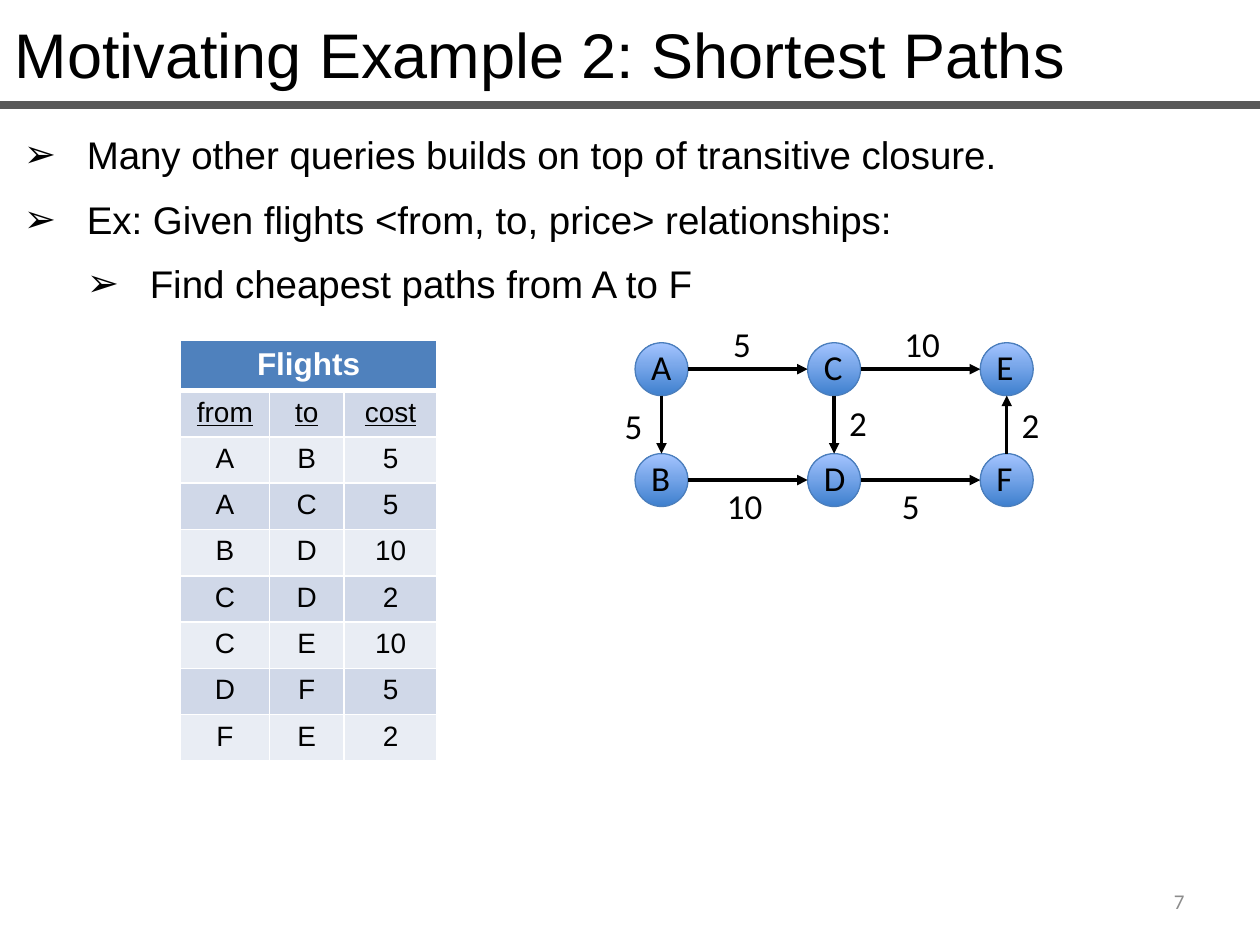
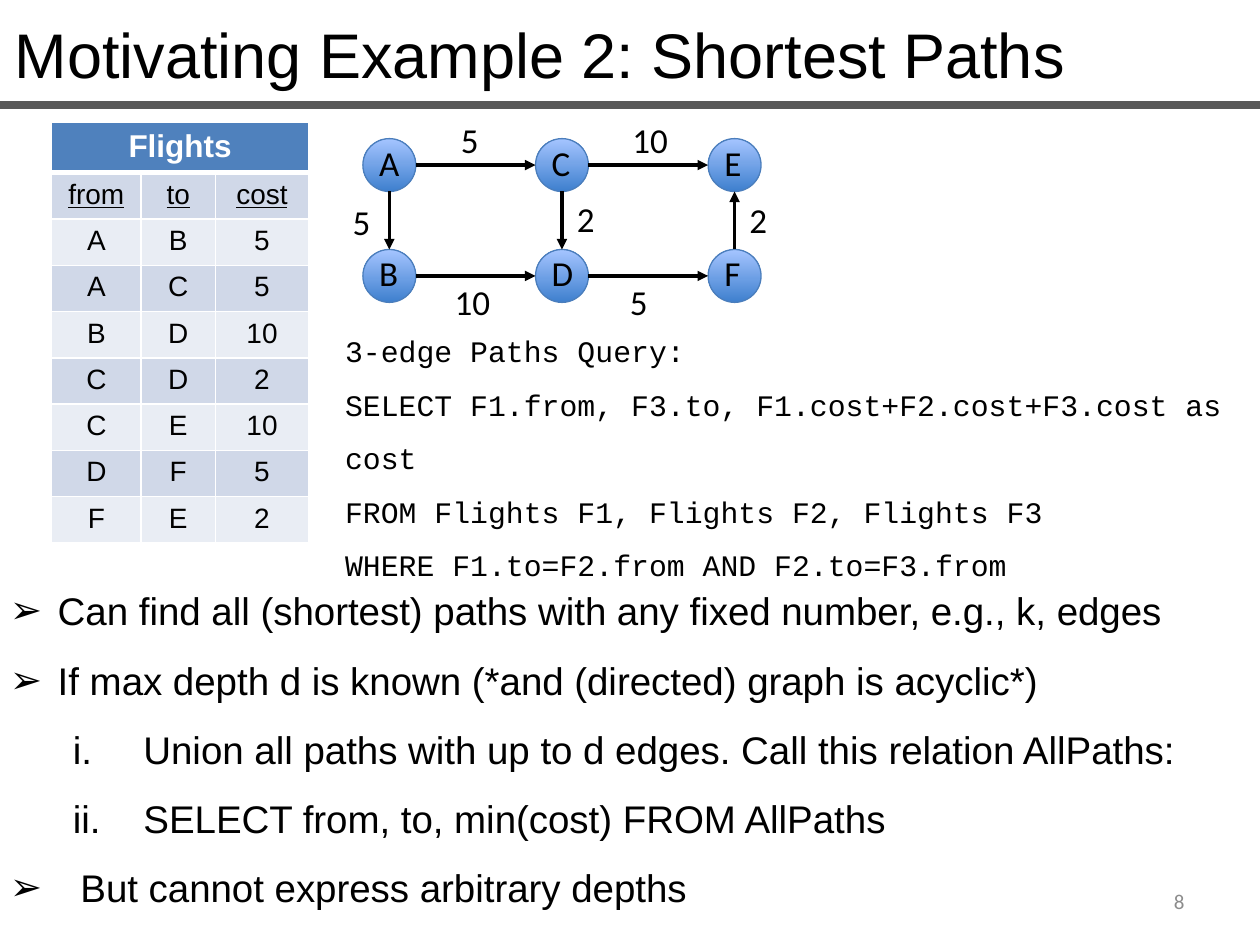
from dataclasses import dataclass

from lxml import etree
from pptx import Presentation
from pptx.dml.color import RGBColor
from pptx.enum import shapes as kinds, text as t
from pptx.oxml.ns import qn
from pptx.util import Inches, Pt


@dataclass(frozen=True)
class Theme:
    """Colours, and text styles as (font, size, colour)."""
    rule: str = "595959"
    ink: str = "000000"
    white: str = "FFFFFF"
    header: str = "4F81BD"
    bands: tuple = ("D0D8E8", "E9EDF4")
    node_fill: tuple = ("3F80CE", "A4C4FF")
    node_line: str = "4B7EBC"
    title: tuple = ("Arial", 36, "000000")
    body: tuple = ("Arial", 22, "000000")
    code: tuple = ("Courier New", 17, "000000")
    graph: tuple = ("Calibri", 20, "000000")
    number: tuple = ("Calibri", 12, "8C8C8C")
    table_head: tuple = ("Arial", 18, "FFFFFF")
    table_cell: tuple = ("Arial", 16, "000000")


THEME = Theme()
TITLE = "Motivating Example 2: Shortest Paths"

# Each flight is an edge; the last two values place its cost label from node A.
FLIGHTS = [
    ("A", "B", 5, -0.18, 0.44),
    ("A", "C", 5, 0.68, -0.21),
    ("B", "D", 10, 0.63, 1.08),
    ("C", "D", 2, 1.6, 0.42),
    ("C", "E", 10, 2.04, -0.21),
    ("D", "F", 5, 2.02, 1.08),
    ("F", "E", 2, 2.97, 0.43),
]
NODES = {"A": (0, 0), "B": (0, 1), "C": (1, 0), "D": (1, 1), "E": (2, 0), "F": (2, 1)}
NODE_SIZE, COLUMN_STEP, ROW_STEP = 0.42, 1.37, 0.88
COLUMNS = (0.71, 0.59, 0.74)
HEAD_HEIGHT, TABLE_HEIGHT = 0.39, 3.33

# Marker: level, left indent, hanging indent, bullet tag and its attribute
ARROW = ("a:buChar", "char", "➢")
ROMAN = ("a:buAutoNum", "type", "romanLcPeriod")
WIDE, WIDE_SUB = (0, 0.5, 0.5, ARROW), (1, 1, 0.5, ARROW)
TIGHT, STEP, LAST = (0, 0.38, 0.38, ARROW), (1, 1.06, 0.56, ROMAN), (0, 0.56, 0.56, ARROW)

SLIDES = [
    {
        "number": "7", "table": (1.43, 2.7), "graph": (5.04, 2.72),
        "texts": [((0.09, 0.85, 9.91, 1.6), THEME.body, Pt(36.8), [
            ("Many other queries builds on top of transitive closure.", WIDE),
            ("Ex: Given flights <from, to, price> relationships:", WIDE),
            ("Find cheapest paths from A to F", WIDE_SUB),
        ])],
    },
    {
        "number": "8", "table": (0.41, 0.97), "graph": (2.88, 1.1),
        "texts": [
            ((-0.02, 4.43, 10.02, 2.81), THEME.body, 1.5, [
                ("Can find all (shortest) paths with any fixed number, e.g., k, edges", TIGHT),
                ("If max depth d is known (*and (directed) graph is acyclic*)", TIGHT),
                ("Union all paths with up to d edges. Call this relation AllPaths:", STEP),
                ("SELECT from, to, min(cost) FROM AllPaths", STEP),
                ("But cannot express arbitrary depths", LAST),
            ]),
            ((2.64, 2.45, 7.42, 1.77), THEME.code, 1.5, [
                ("3-edge Paths Query:", None),
                ("SELECT F1.from, F3.to, F1.cost+F2.cost+F3.cost as cost", None),
                ("FROM Flights F1, Flights F2, Flights F3", None),
                ("WHERE F1.to=F2.from AND F2.to=F3.from", None),
            ]),
        ],
    },
]


def write(frame, lines, style, font_format=None, **para_format):
    """Fill a text frame with (text, marker) lines in one style."""
    face, size, colour = style
    for index, (words, marker) in enumerate(lines):
        para = frame.add_paragraph() if index else frame.paragraphs[0]
        span = para.add_run()
        span.text = words
        values = {"name": face, "size": Pt(size), **(font_format or {})}
        for name, value in values.items():
            setattr(span.font, name, value)
        span.font.color.rgb = RGBColor.from_string(colour)
        for name, value in para_format.items():
            setattr(para, name, value)
        if marker:
            para.level, left, hanging, (tag, key, value) = marker
            props = para._p.get_or_add_pPr()
            props.set("marL", str(Inches(left)))
            props.set("indent", str(-Inches(hanging)))
            if tag == "a:buChar":
                etree.SubElement(props, qn("a:buFont")).set("typeface", "Arial")
            etree.SubElement(props, qn(tag)).set(key, value)


def add_line(parent, start, end, colour, width, arrow=False):
    """Draw a straight line without shadow, with an arrowhead if asked."""
    line = parent.add_connector(kinds.MSO_CONNECTOR.STRAIGHT,
                                *(Inches(value) for value in (*start, *end)))
    line.line.color.rgb = RGBColor.from_string(colour)
    line.line.width = Pt(width)
    if arrow:
        etree.SubElement(line.line._ln, qn("a:tailEnd")).set("type", "triangle")
    etree.SubElement(line._element.spPr, qn("a:effectLst"))


deck = Presentation()
deck.slide_width, deck.slide_height = Inches(10), Inches(7.5)

for content in SLIDES:
    page = deck.slides.add_slide(deck.slide_layouts[6])

    # Title, rule, slide number and body text
    blocks = [((0.02, 0.07, 9.84, 0.71), THEME.title, None, [(TITLE, None)])]
    for place, style, spacing, lines in blocks + content["texts"]:
        box = page.shapes.add_textbox(*map(Inches, place))
        box.text_frame.word_wrap = True
        box.text_frame.auto_size = t.MSO_AUTO_SIZE.SHAPE_TO_FIT_TEXT
        write(box.text_frame, lines, style, line_spacing=spacing)
    add_line(page.shapes, (0, 0.83), (10, 0.83), THEME.rule, 4.5)
    box = page.shapes.add_textbox(*map(Inches, (7.17, 6.95, 2.33, 0.4)))
    box.text_frame.word_wrap = True
    box.text_frame.vertical_anchor = t.MSO_ANCHOR.MIDDLE
    write(box.text_frame, [(content["number"], None)], THEME.number,
          alignment=t.PP_ALIGN.RIGHT)

    # Flights table
    rows = [("Flights", "", ""), ("from", "to", "cost")] + [flight[:3] for flight in FLIGHTS]
    left, top = content["table"]
    table = page.shapes.add_table(len(rows), len(COLUMNS), Inches(left), Inches(top),
                                  Inches(sum(COLUMNS)), Inches(TABLE_HEIGHT)).table
    for column, width in zip(table.columns, COLUMNS):
        column.width = Inches(width)
    for r, values in enumerate(rows):
        body_height = (TABLE_HEIGHT - HEAD_HEIGHT) / (len(rows) - 1)
        table.rows[r].height = Inches(body_height if r else HEAD_HEIGHT)
        for c, value in enumerate(values):
            cell = table.cell(r, c)
            props = cell._tc.get_or_add_tcPr()
            for side in ("lnL", "lnR", "lnT", "lnB"):
                heavy = (r == 0 and side == "lnB") or (r == 1 and side == "lnT")
                border = etree.SubElement(props, qn(f"a:{side}"))
                border.set("w", str(Pt(3 if heavy else 1)))
                paint = etree.SubElement(border, qn("a:solidFill"))
                etree.SubElement(paint, qn("a:srgbClr")).set("val", THEME.white)
            cell.fill.solid()
            cell.fill.fore_color.rgb = RGBColor.from_string(
                THEME.bands[(r - 1) % 2] if r else THEME.header)
            if value != "":
                write(cell.text_frame, [(str(value), None)],
                      THEME.table_cell if r else THEME.table_head,
                      {"bold": r == 0, "underline": r == 1},
                      alignment=t.PP_ALIGN.CENTER)
    table.cell(0, 0).merge(table.cell(0, len(COLUMNS) - 1))

    # Flights graph
    graph = page.shapes.add_group_shape().shapes
    left, top = content["graph"]
    radius = NODE_SIZE / 2
    labels = []
    for name, (column, row) in NODES.items():
        x, y = left + column * COLUMN_STEP, top + row * ROW_STEP
        node = graph.add_shape(kinds.MSO_SHAPE.OVAL,
                               *map(Inches, (x, y, NODE_SIZE, NODE_SIZE)))
        node.shadow.inherit = False
        node.fill.gradient()
        node.fill.gradient_angle = 90
        for stop, colour in zip(node.fill.gradient_stops, THEME.node_fill):
            stop.color.rgb = RGBColor.from_string(colour)
        node.line.color.rgb = RGBColor.from_string(THEME.node_line)
        node.line.width = Pt(0.75)
        labels.append((name, x + 0.03, y - 0.03, 0.35))
    for start, end, cost, dx, dy in FLIGHTS:
        (c1, r1), (c2, r2) = NODES[start], NODES[end]
        across, down = (c2 - c1) * radius, (r2 - r1) * radius
        x1, x2 = (left + c * COLUMN_STEP + radius for c in (c1, c2))
        y1, y2 = (top + r * ROW_STEP + radius for r in (r1, r2))
        add_line(graph, (x1 + across, y1 + down), (x2 - across, y2 - down),
                 THEME.ink, 2, arrow=True)
        labels.append((str(cost), left + dx, top + dy, 0.19 + 0.15 * len(str(cost))))
    for words, x, y, width in labels:
        box = graph.add_textbox(*map(Inches, (x, y, width, 0.44)))
        box.text_frame.word_wrap = False
        box.text_frame.auto_size = t.MSO_AUTO_SIZE.SHAPE_TO_FIT_TEXT
        write(box.text_frame, [(words, None)], THEME.graph)

deck.save("out.pptx")
